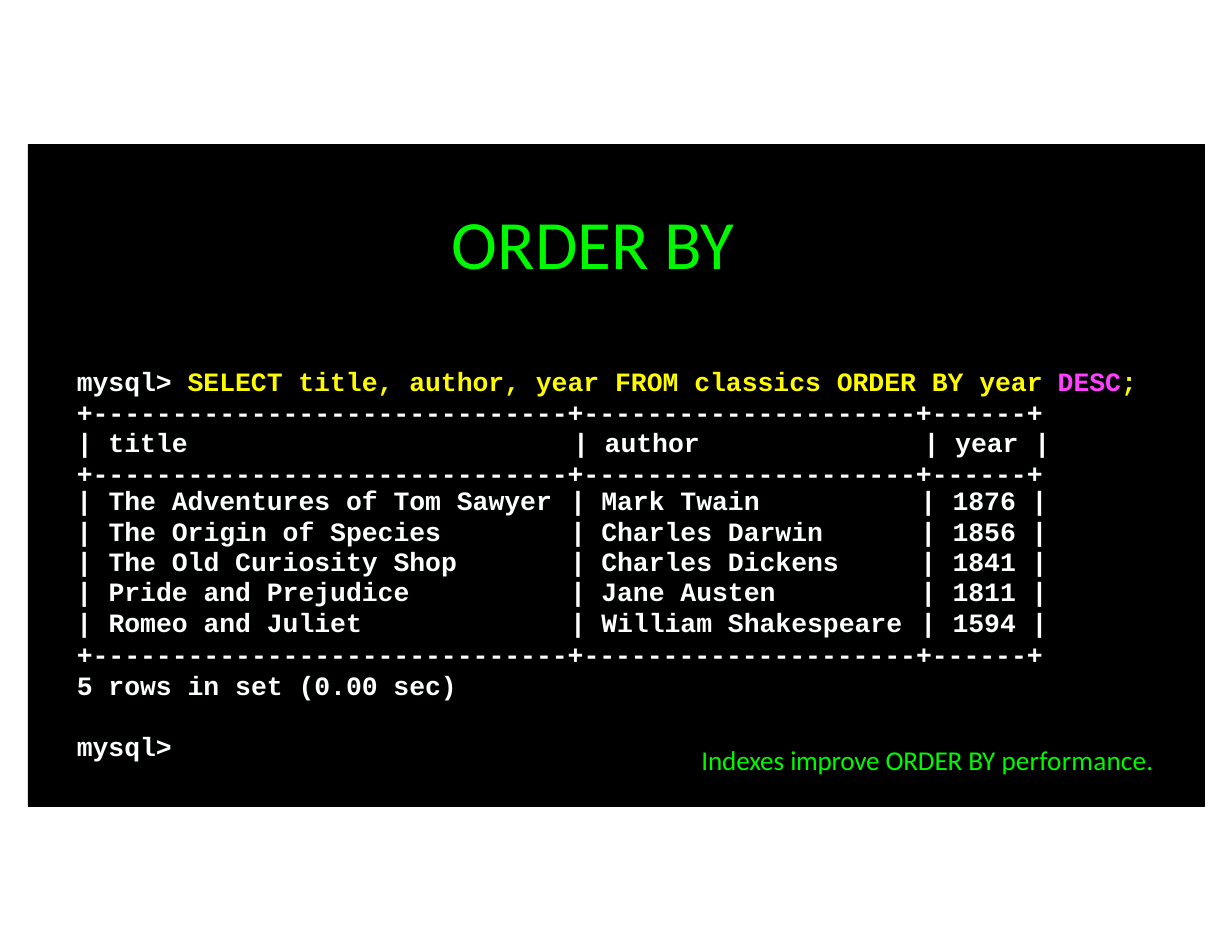
from lxml import etree
from pptx import Presentation
from pptx.dml.color import RGBColor
from pptx.enum.shapes import MSO_SHAPE
from pptx.enum.text import PP_ALIGN
from pptx.oxml.ns import qn
from pptx.util import Pt

RECTANGLE = MSO_SHAPE.RECTANGLE
LEFT, CENTER = PP_ALIGN.LEFT, PP_ALIGN.CENTER

BLACK, WHITE, GREEN = "000000", "FEFFFF", "00F900"
YELLOW, MAGENTA = "FEFB00", "FF40FF"
MONO, SANS = "Courier New", "Calibri"
NO_STYLE = "{2D5ABB26-0587-4C30-8999-92F81FD0307C}"

RULE = "+" + "+".join("-" * n for n in (30, 21, 6)) + "+"
BOOKS = [
    ("The Adventures of Tom Sawyer", "Mark Twain", "1876"),
    ("The Origin of Species", "Charles Darwin", "1856"),
    ("The Old Curiosity Shop", "Charles Dickens", "1841"),
    ("Pride and Prejudice", "Jane Austen", "1811"),
    ("Romeo and Juliet", "William Shakespeare", "1594"),
]
COLUMNS = [
    (18, LEFT, 2.3), (296, LEFT, 5), (21, CENTER, 0.7), (204.5, LEFT, 4.8),
    (21, CENTER, 0), (51, CENTER, 0), (18, CENTER, 2.2),
]


def rgb(value):
    """Return the colour for a hex string."""
    return RGBColor.from_string(value)


def add_run(p, text, color=WHITE, font=MONO, size=17, spacing=-0.05):
    """Add one styled run; the monospaced font is bold."""
    r = p.add_run()
    r.text = text
    r.font.name, r.font.size, r.font.bold = font, Pt(size), font == MONO
    r.font.color.rgb = rgb(color)
    r.font._element.set("spc", str(round(spacing * 100)))


def add_text(slide, box):
    """Add an unpadded text box and return its text frame."""
    tf = slide.shapes.add_textbox(*map(Pt, box)).text_frame
    tf.word_wrap = True
    tf.margin_left = Pt(0.9)
    tf.margin_right = tf.margin_top = tf.margin_bottom = 0
    return tf


def add_console(slide, box, lines):
    """Add console lines, each a line spacing and its runs."""
    tf = add_text(slide, box)
    for i, (spacing, runs) in enumerate(lines):
        p = tf.add_paragraph() if i else tf.paragraphs[0]
        if spacing:
            p.line_spacing = Pt(spacing)
        for run in runs:
            add_run(p, *run)
    return tf


def add_tabs(p, stops):
    """Give a paragraph left tab stops."""
    tabs = etree.SubElement(p._p.get_or_add_pPr(), qn("a:tabLst"))
    for stop in stops:
        etree.SubElement(tabs, qn("a:tab"), pos=str(Pt(stop)), algn="l")


def add_screen(slide, box):
    """Add the black terminal screen."""
    sp = slide.shapes.add_shape(RECTANGLE, *map(Pt, box))
    sp.shadow.inherit = False
    sp.fill.solid()
    sp.fill.fore_color.rgb = rgb(BLACK)
    sp.line.color.rgb = rgb(BLACK)
    sp.line.width = Pt(0.5)


def add_query(slide, box):
    """Add the query and the heading of its result."""
    query = [
        ("mysql> ",),
        ("SELECT title, author, year FROM classics ORDER BY year ", YELLOW),
        ("DESC", MAGENTA),
        (";", YELLOW),
    ]
    tf = add_console(slide, box, [
        (19.9, query),
        (19.5, [(RULE,)]),
        (19.4, [("| title\t| author\t| year |",)]),
        (19.9, [(RULE,)]),
    ])
    add_tabs(tf.paragraphs[2], (319, 544.3))


def add_books(slide, box):
    """Add the result rows with bars between the fields."""
    frame = slide.shapes.add_table(len(BOOKS), len(COLUMNS), *map(Pt, box))
    table = frame.table
    table.first_row = table.horz_banding = False
    table._tbl.tblPr.find(qn("a:tableStyleId")).text = NO_STYLE
    for column, (width, _, _) in zip(table.columns, COLUMNS):
        column.width = Pt(width)
    for row, (title, author, year) in zip(table.rows, BOOKS):
        row.height = Pt(box[3] / len(BOOKS))
        fields = ("|", title, "|", author, "|", year, "|")
        for cell, text, (_, align, indent) in zip(row.cells, fields, COLUMNS):
            cell.fill.solid()
            cell.fill.fore_color.rgb = rgb(BLACK)
            cell.margin_left = Pt(indent)
            cell.margin_right = cell.margin_top = cell.margin_bottom = 0
            p = cell.text_frame.paragraphs[0]
            p.alignment = align
            p.line_spacing = Pt(17.6)
            add_run(p, text, spacing=0 if text == "|" else -0.05)


def add_note(slide, box):
    """Add the remark on indexes."""
    p = add_text(slide, box).paragraphs[0]
    for text, spacing in (("Indexes ", -0.1), ("improve ", -0.2),
                          ("ORDER BY ", -0.1), ("performance.", 0.1)):
        add_run(p, text, GREEN, SANS, 17.5, spacing)


def main():
    """Build and save the slide."""
    prs = Presentation()
    prs.slide_width, prs.slide_height = Pt(792), Pt(612)
    s = prs.slides.add_slide(prs.slide_layouts[6])
    add_screen(s, (18, 93, 756, 425.5))
    title = add_text(s, (289.5, 129, 212.5, 56))
    add_run(title.paragraphs[0], "ORDER BY", GREEN, SANS, 44.5)
    add_query(s, (48.5, 235.5, 690, 81))
    add_books(s, (46.8, 316, 629.5, 97.5))
    add_console(s, (48.5, 410.5, 624, 42.5), [
        (19.9, [(RULE,)]),
        (19.9, [("5 rows in set (0.00 sec)",)]),
    ])
    add_console(s, (48.5, 469, 63.5, 23), [(None, [("mysql>",)])])
    add_note(s, (450, 478, 309, 22.5))
    prs.save("out.pptx")


if __name__ == "__main__":
    main()
